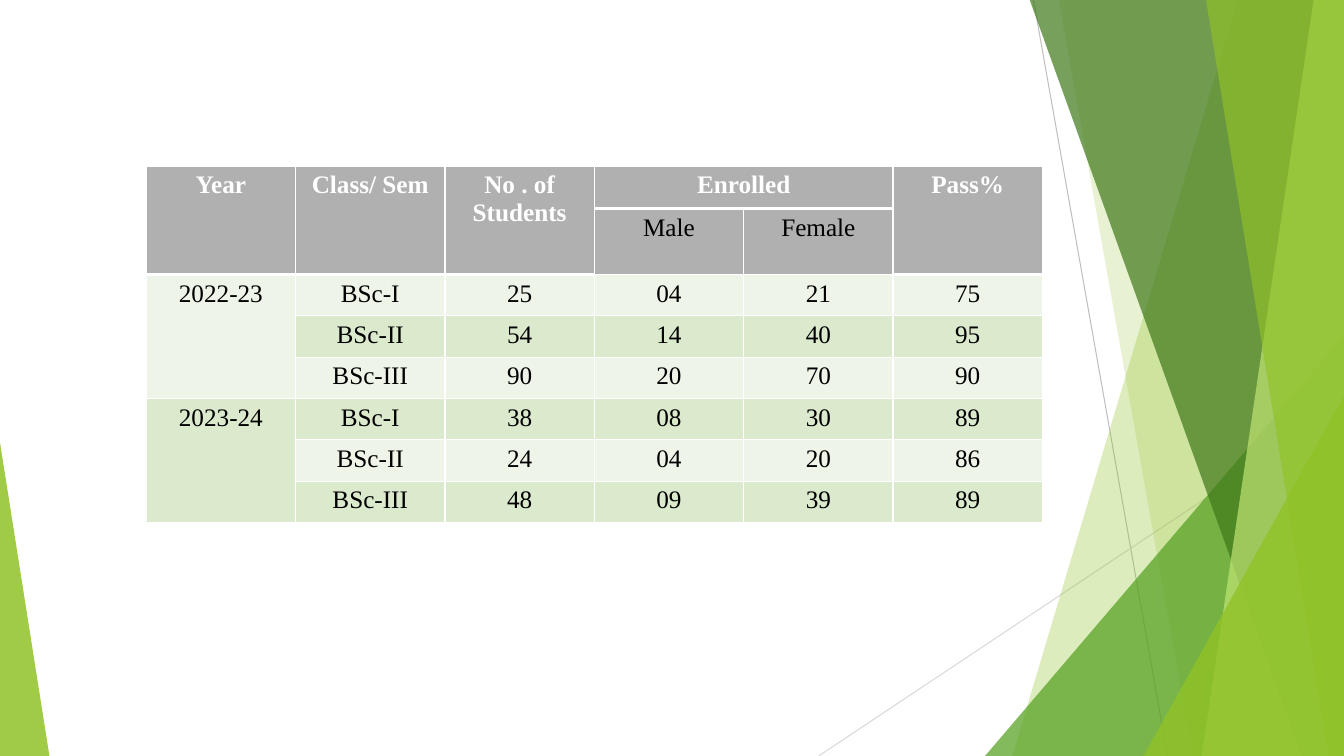
from lxml.etree import SubElement
from pptx import Presentation
from pptx.dml.color import RGBColor
from pptx.enum.shapes import MSO_CONNECTOR, MSO_SHAPE
from pptx.enum.text import PP_ALIGN
from pptx.oxml.ns import qn
from pptx.util import Inches, Pt

LIME = RGBColor(0x90, 0xC2, 0x26)
PALE_LIME = RGBColor(0xC0, 0xE4, 0x74)
GREEN = RGBColor(0x54, 0xA0, 0x21)
DARK_GREEN = RGBColor(0x3F, 0x78, 0x19)
GREY = RGBColor(0xB0, 0xB0, 0xB0)
MID_GREY = RGBColor(0xBF, 0xBF, 0xBF)
LIGHT_GREY = RGBColor(0xD9, 0xD9, 0xD9)
BANDS = RGBColor(0xEE, 0xF4, 0xE8), RGBColor(0xDB, 0xE9, 0xCD)
WHITE = RGBColor(0xFF, 0xFF, 0xFF)
BLACK = RGBColor(0, 0, 0)

W, H = 13.33, 7.5
FONT = "Times New Roman"

ROWS = [
    ["Year", "Class/ Sem", "No . of Students", "Enrolled", "", "Pass%"],
    ["", "", "", "Male", "Female", ""],
    ["2022-23", "BSc-I", "25", "04", "21", "75"],
    ["", "BSc-II", "54", "14", "40", "95"],
    ["", "BSc-III", "90", "20", "70", "90"],
    ["2023-24", "BSc-I", "38", "08", "30", "89"],
    ["", "BSc-II", "24", "04", "20", "86"],
    ["", "BSc-III", "48", "09", "39", "89"],
]
TALL_HEADS = (0, 1, 2, 5)
# first row, first column, last row, last column
MERGES = [(0, c, 1, c) for c in TALL_HEADS] + [(0, 3, 0, 4), (2, 0, 4, 0), (5, 0, 7, 0)]

# from x, from y, to x, to y, colour
THIN_LINES = [(10.25, 0, 11.58, H, MID_GREY), (W, 4.03, 8.12, H, LIGHT_GREY)]

# Bands reach the right edge: top x, bottom x. Triangles stand on the bottom edge: left, width, height, apex.
FACETS = [
    ("band", (12.28, 10.04), LIME, 30),
    ("band", (10.5, 11.83), LIME, 20),
    ("triangle", (9.77, 3.56, 4.17, 1), GREEN, 72),
    ("band", (10.21, 12.91), DARK_GREEN, 70),
    ("band", (13.03, 11.92), PALE_LIME, 70),
    ("band", (11.96, 13.18), LIME, 65),
    ("triangle", (11.34, 1.99, 3.57, 1), LIME, 80),
    ("triangle", (0, 0.49, 3.11, 0), LIME, 85),
]


def add_thin_line(shapes, x1, y1, x2, y2, color):
    line = shapes.add_connector(MSO_CONNECTOR.STRAIGHT, *map(Inches, (x1, y1, x2, y2)))
    line.line.color.rgb = color
    line.line.width = Pt(0.75)
    SubElement(line._element.spPr, qn("a:effectLst"))


def add_band(shapes, top_x, bottom_x):
    top = Inches(-0.01)
    builder = shapes.build_freeform(Inches(top_x), top)
    corners = [(Inches(W), top), (Inches(W), Inches(H)), (Inches(bottom_x), Inches(H))]
    builder.add_line_segments(corners, close=True)
    return builder.convert_to_shape()


def add_triangle(shapes, left, width, height, apex):
    sp = shapes.add_shape(MSO_SHAPE.ISOSCELES_TRIANGLE, *map(Inches, (left, H - height, width, height)))
    sp.adjustments[0] = apex
    return sp


def add_facet(shapes, kind, geometry, color, opacity):
    sp = (add_band if kind == "band" else add_triangle)(shapes, *geometry)
    sp.shadow.inherit = False
    sp.line.fill.background()
    sp.fill.solid()
    sp.fill.fore_color.rgb = color
    clr = sp._element.spPr.find(qn("a:solidFill"))[0]
    SubElement(clr, qn("a:alpha"), val=str(opacity * 1000))


def set_borders(cell, r, c):
    """Each cell draws its right and bottom edge; the outer left and top belong to the first ones."""
    thick = r == 0 or (r == 1 and c in TALL_HEADS)
    edges = {"L": 1 if c == 0 else None, "R": 1, "T": 1 if r == 0 else None, "B": 3 if thick else 1}
    tc_pr = cell._tc.get_or_add_tcPr()
    for side, width in edges.items():
        if width:
            ln = SubElement(tc_pr, qn(f"a:ln{side}"), w=str(Pt(width)))
            SubElement(SubElement(ln, qn("a:solidFill")), qn("a:srgbClr"), val=str(WHITE))


def fill_cell(cell, r, c):
    set_borders(cell, r, c)
    cell.fill.solid()
    cell.fill.fore_color.rgb = GREY if r < 2 else BANDS[r % 2]
    p = cell.text_frame.paragraphs[0]
    p.alignment = PP_ALIGN.CENTER
    font_format = {"name": FONT, "size": Pt(18), "bold": r == 0}
    for target in [p.font] + ([p.add_run().font] if ROWS[r][c] else []):
        for name, value in font_format.items():
            setattr(target, name, value)
        target.color.rgb = WHITE if r == 0 else BLACK
    if p.runs:
        p.runs[0].text = ROWS[r][c]


def add_results_table(shapes):
    n_rows, n_cols = len(ROWS), len(ROWS[0])
    frame = shapes.add_table(n_rows, n_cols, *map(Inches, (1.45, 1.65, 8.89, 3.26)))
    table = frame.table
    for i, row in enumerate(table.rows):
        row.height = Inches(0.42 if i == 0 else 0.41)
    for r in range(n_rows):
        for c in range(n_cols):
            fill_cell(table.cell(r, c), r, c)
    for r1, c1, r2, c2 in MERGES:
        table.cell(r1, c1).merge(table.cell(r2, c2))


def main():
    prs = Presentation()
    prs.slide_width, prs.slide_height = Inches(W), Inches(H)
    shapes = prs.slides.add_slide(prs.slide_layouts[6]).shapes
    for line in THIN_LINES:
        add_thin_line(shapes, *line)
    for facet in FACETS:
        add_facet(shapes, *facet)
    add_results_table(shapes)
    prs.save("out.pptx")


if __name__ == "__main__":
    main()
